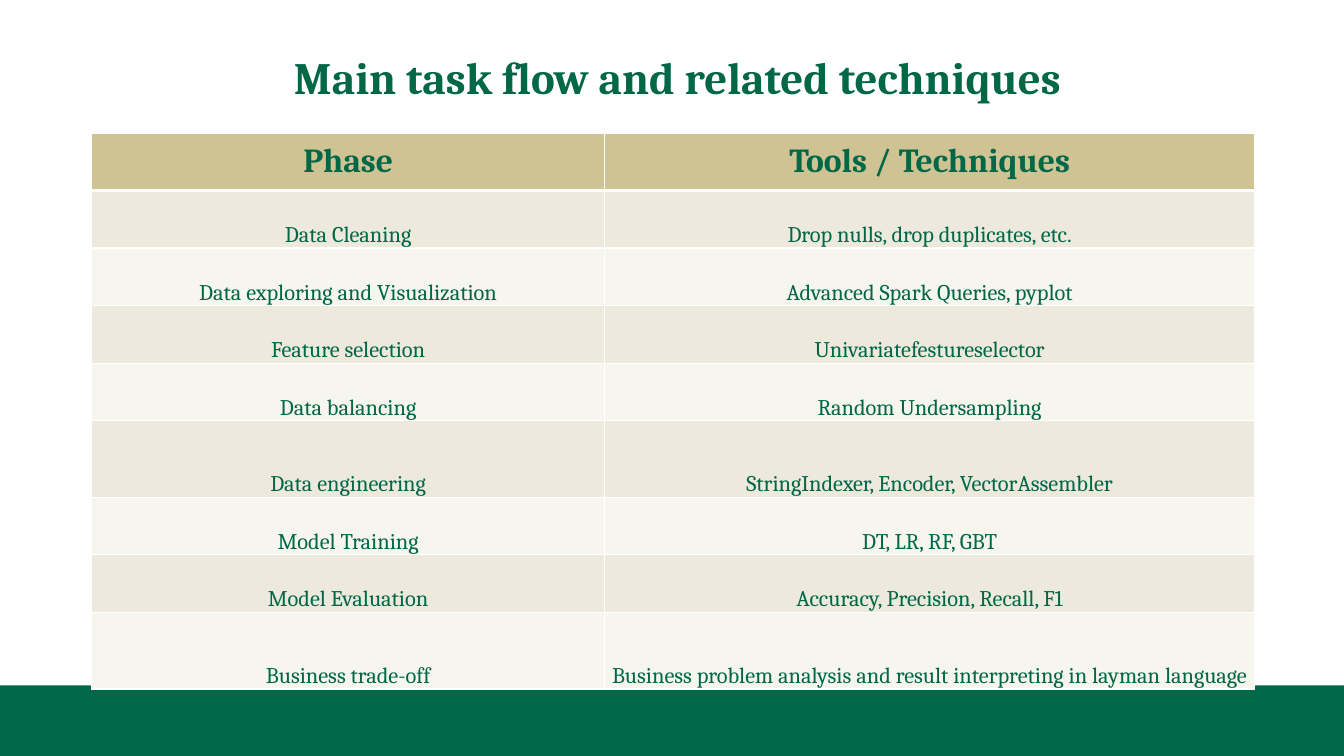
from dataclasses import dataclass

from lxml.etree import SubElement
from pptx import Presentation
from pptx.dml.color import RGBColor
from pptx.enum.shapes import MSO_SHAPE
from pptx.enum.text import MSO_ANCHOR as Anchor, PP_ALIGN as Align
from pptx.oxml.ns import qn
from pptx.slide import Slide
from pptx.table import _Cell as Cell
from pptx.text.text import TextFrame
from pptx.util import Cm, Pt


@dataclass(frozen=True)
class Theme:
    font: str = "Cambria"
    green: str = "006747"
    header: str = "CFC393"
    bands: tuple[str, str] = ("EDE9DC", "F6F5EE")
    rule: str = "FFFFFF"
    title_size: int = 32
    header_size: int = 24
    body_size: int = 16


@dataclass(frozen=True)
class Phase:
    name: str
    tools: str
    height: float = 1.45


THEME = Theme()
WIDTH, HEIGHT = 33.87, 19.05
BAND_TOP = 17.27
TABLE_LEFT, TABLE_TOP = 2.31, 3.35
COLUMNS = (12.93, 16.38)
HEADER = Phase("Phase", "Tools / Techniques")
PHASES = (
    Phase("Data Cleaning", "Drop nulls, drop duplicates, etc."),
    Phase("Data exploring and Visualization", "Advanced Spark Queries, pyplot"),
    Phase("Feature selection", "Univariatefestureselector"),
    Phase("Data balancing", "Random Undersampling"),
    Phase("Data engineering", "StringIndexer, Encoder, VectorAssembler", 1.93),
    Phase("Model Training", "DT, LR, RF, GBT"),
    Phase("Model Evaluation", "Accuracy, Precision, Recall, F1"),
    Phase("Business trade-off",
          "Business problem analysis and result interpreting in layman language", 1.93),
)


def write(tf: TextFrame, text: str, size: int, bold: bool) -> None:
    p = tf.paragraphs[0]
    p.text = text
    p.alignment = Align.CENTER
    p.font.name = THEME.font
    p.font.size = Pt(size)
    p.font.bold = bold
    p.font.color.rgb = RGBColor.from_string(THEME.green)


def set_borders(cell: Cell, top: int, bottom: int) -> None:
    tc_pr = cell._tc.get_or_add_tcPr()
    for i, (side, points) in enumerate(zip("LRTB", (1, 1, top, bottom))):
        ln = SubElement(tc_pr, qn(f"a:ln{side}"), w=str(Pt(points)))
        SubElement(SubElement(ln, qn("a:solidFill")), qn("a:srgbClr"), val=THEME.rule)
        tc_pr.insert(i, ln)


def add_band(s: Slide) -> None:
    band = s.shapes.add_shape(MSO_SHAPE.RECTANGLE, Cm(0), Cm(BAND_TOP),
                              Cm(WIDTH), Cm(HEIGHT - BAND_TOP))
    band.shadow.inherit = False
    band.fill.solid()
    band.fill.fore_color.rgb = RGBColor.from_string(THEME.green)
    band.line.fill.background()


def add_title(s: Slide, text: str) -> None:
    tf = s.shapes.add_textbox(Cm(TABLE_LEFT), Cm(0.97), Cm(29.54), Cm(1.78)).text_frame
    tf.word_wrap = True
    tf.vertical_anchor = Anchor.BOTTOM
    write(tf, text, THEME.title_size, True)
    tf.paragraphs[0].line_spacing = 0.9


def add_phase_table(s: Slide) -> None:
    rows = (HEADER, *PHASES)
    table = s.shapes.add_table(len(rows), len(COLUMNS), Cm(TABLE_LEFT), Cm(TABLE_TOP),
                               Cm(sum(COLUMNS)), Cm(sum(row.height for row in rows))).table
    for column, width in zip(table.columns, COLUMNS):
        column.width = Cm(width)
    for i, row in enumerate(rows):
        table.rows[i].height = Cm(row.height)
        is_header = i == 0
        fill = THEME.header if is_header else THEME.bands[(i - 1) % 2]
        for cell, text in zip(table.rows[i].cells, (row.name, row.tools)):
            cell.fill.solid()
            cell.fill.fore_color.rgb = RGBColor.from_string(fill)
            cell.vertical_anchor = Anchor.MIDDLE if is_header else Anchor.BOTTOM
            if not is_header:
                cell.margin_left = cell.margin_right = cell.margin_top = Cm(0.02)
                cell.margin_bottom = Cm(0)
            write(cell.text_frame, text,
                  THEME.header_size if is_header else THEME.body_size, is_header)
            set_borders(cell, top=3 if i == 1 else 1, bottom=3 if is_header else 1)


def main() -> None:
    prs = Presentation()
    prs.slide_width, prs.slide_height = Cm(WIDTH), Cm(HEIGHT)
    s = prs.slides.add_slide(prs.slide_layouts[6])
    add_band(s)
    add_title(s, "Main task flow and related techniques")
    add_phase_table(s)
    prs.save("out.pptx")


if __name__ == "__main__":
    main()
